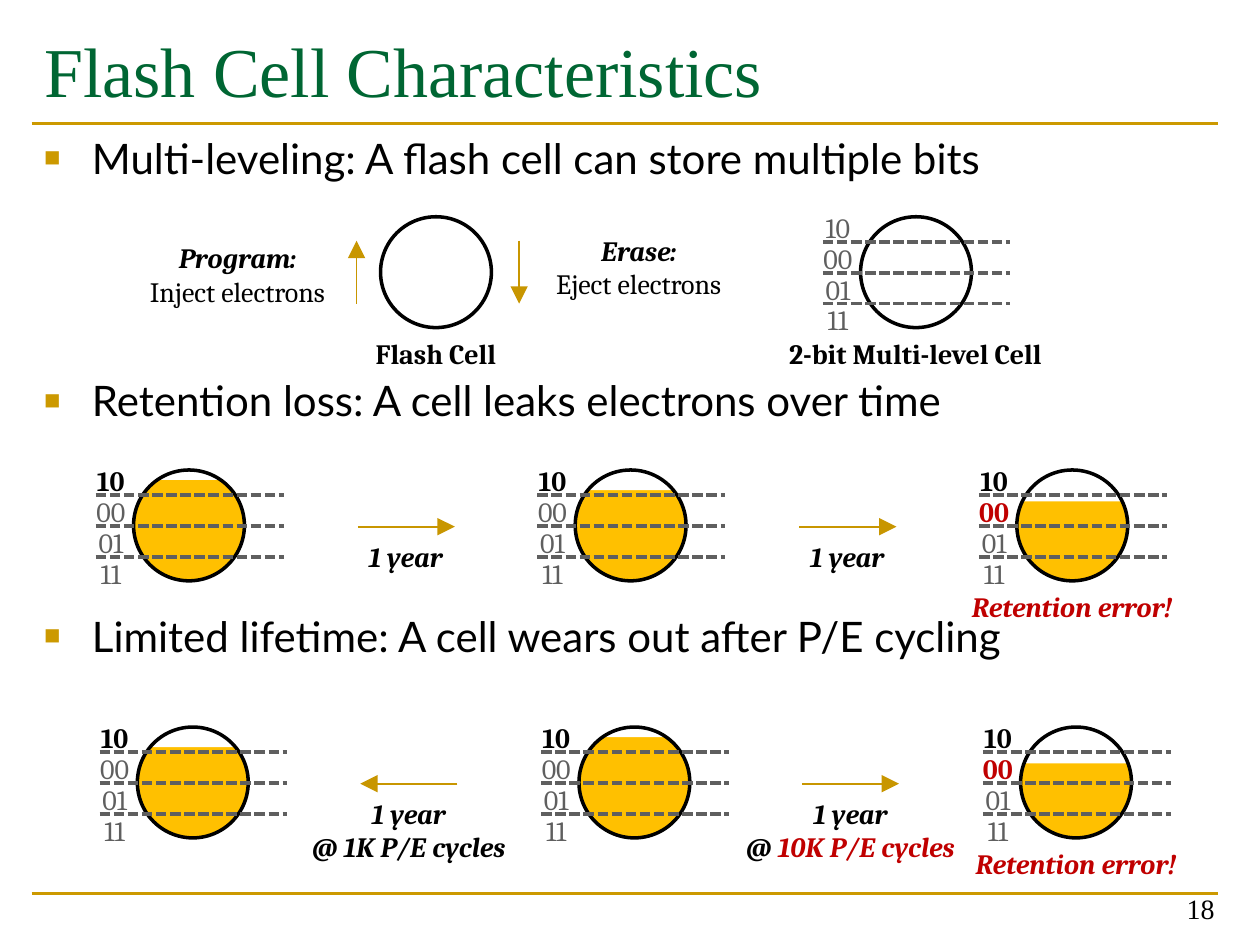
from dataclasses import dataclass

from lxml import etree
from pptx import Presentation
from pptx import util as u
from pptx.dml.color import RGBColor
from pptx.enum import dml, shapes, text
from pptx.oxml import ns


@dataclass(frozen=True)
class Theme:
    black: str = "000000"
    white: str = "FFFFFF"
    green: str = "006633"
    gold: str = "CC9900"
    arrow: str = "C89600"
    charge: str = "FFC000"
    grey: str = "5F5F5F"
    red: str = "C00000"
    title_font: str = "Times New Roman"
    body_font: str = "Lato"
    label_font: str = "Cambria"
    title_size: int = 40
    body_size: int = 24
    label_size: int = 16


THEME = Theme()


def add_text(paragraph, content, font=THEME.label_font, size=THEME.label_size,
             color=THEME.black, bold=False, italic=False):
    run = paragraph.add_run()
    run.text = content
    run.font.name = font
    run.font.size = u.Pt(size)
    run.font.bold = bold
    run.font.italic = italic
    run.font.color.rgb = RGBColor.from_string(color)


def add_child(parent, tag, **attributes):
    return etree.SubElement(parent, ns.qn(tag), attributes)


class FlashSlide:
    diameter = 0.88
    level_step = 0.245
    label_height = 0.27

    def __init__(self, presentation, theme):
        self.theme = theme
        self.slide = presentation.slides.add_slide(presentation.slide_layouts[1])

    def place(self, shape, left, top, width, height):
        shape.left, shape.top = u.Inches(left), u.Inches(top)
        shape.width, shape.height = u.Inches(width), u.Inches(height)

    def title(self, content):
        shape = self.slide.shapes.title
        self.place(shape, 0.25, 0.17, 9.42, 1.17)
        frame = shape.text_frame
        frame.auto_size = text.MSO_AUTO_SIZE.NONE
        frame.vertical_anchor = text.MSO_ANCHOR.TOP
        paragraph = frame.paragraphs[0]
        paragraph.alignment = text.PP_ALIGN.LEFT
        add_text(paragraph, content, font=self.theme.title_font,
                 size=self.theme.title_size, color=self.theme.green)

    def bullets(self, items):
        shape = self.slide.placeholders[1]
        self.place(shape, 0.25, 1, 9.42, 6.08)
        frame = shape.text_frame
        frame.auto_size = text.MSO_AUTO_SIZE.NONE
        for index, (content, space_before) in enumerate(items):
            paragraph = frame.add_paragraph() if index else frame.paragraphs[0]
            paragraph.space_before = u.Pt(space_before)
            add_text(paragraph, content, font=self.theme.body_font, size=self.theme.body_size)
            properties = paragraph._p.get_or_add_pPr()
            properties.set("marL", str(u.Inches(0.38)))
            properties.set("indent", str(u.Inches(-0.38)))
            color = add_child(properties, "a:buClr")
            add_child(color, "a:srgbClr", val=self.theme.gold)
            add_child(properties, "a:buSzPct", val="65000")
            add_child(properties, "a:buChar", char="■")

    def label(self, left, top, width, *lines, height=None,
              align=text.PP_ALIGN.CENTER):
        height = height or self.label_height * len(lines)
        shape = self.slide.shapes.add_textbox(0, 0, 0, 0)
        self.place(shape, left, top, width, height)
        frame = shape.text_frame
        frame.word_wrap = True
        frame.margin_left = frame.margin_right = 0
        frame.margin_top = frame.margin_bottom = 0
        for index, runs in enumerate(lines):
            paragraph = frame.add_paragraph() if index else frame.paragraphs[0]
            paragraph.alignment = align
            for content, style in runs:
                add_text(paragraph, content, **style)

    def line(self, start, end, color, width, dashed=False, arrow=False):
        points = [u.Inches(value) for value in (*start, *end)]
        connector = self.slide.shapes.add_connector(
            shapes.MSO_CONNECTOR.STRAIGHT, *points)
        connector.line.color.rgb = RGBColor.from_string(color)
        connector.line.width = u.Pt(width)
        if dashed:
            connector.line.dash_style = dml.MSO_LINE.SQUARE_DOT
        if arrow:
            add_child(connector.line._get_or_add_ln(), "a:tailEnd",
                      type="triangle", w="lg", len="lg")
        add_child(connector._element.spPr, "a:effectLst")

    def arrow(self, start, end):
        self.line(start, end, self.theme.arrow, 1, arrow=True)

    def shape(self, kind, left, top, width, height, fill=None, outline=None):
        shape = self.slide.shapes.add_shape(kind, 0, 0, 0, 0)
        self.place(shape, left, top, width, height)
        shape.shadow.inherit = False
        if fill:
            shape.fill.solid()
            shape.fill.fore_color.rgb = RGBColor.from_string(fill)
        else:
            shape.fill.background()
        if outline:
            shape.line.color.rgb = RGBColor.from_string(outline)
            shape.line.width = u.Pt(2)
        else:
            shape.line.fill.background()

    def circle(self, left, top, **style):
        self.shape(shapes.MSO_SHAPE.OVAL, left, top, self.diameter, self.diameter, **style)

    def cell(self, left, top, empty_depth=None, error=False):
        charged = empty_depth is not None
        if charged:
            self.circle(left, top, fill=self.theme.charge)
            self.shape(shapes.MSO_SHAPE.RECTANGLE, left - 0.04, top - 0.15,
                       0.96, 0.15 + empty_depth, fill=self.theme.white)
        self.circle(left, top, outline=self.theme.black)
        for index in range(3):
            height = top + 0.2 + index * self.level_step
            self.line((left - 0.3, height), (left + 1.19, height),
                      self.theme.grey, 2, dashed=True)
        styles = {}
        if charged:
            styles["10"] = dict(color=self.theme.black, bold=True)
        if error:
            styles["00"] = dict(color=self.theme.red, bold=True)
        for index, bits in enumerate(("10", "00", "01", "11")):
            style = styles.get(bits, dict(color=self.theme.grey))
            self.label(left - 0.38, top - 0.05 + index * self.level_step, 0.4, [(bits, style)])
        if error:
            self.label(left - 0.79, top + 0.95, 2.46,
                       [("Retention error!", dict(color=self.theme.red, bold=True, italic=True))])


def main():
    presentation = Presentation()
    presentation.slide_width, presentation.slide_height = u.Inches(10), u.Inches(7.5)
    page = FlashSlide(presentation, THEME)
    bold = dict(bold=True)
    strong = dict(bold=True, italic=True)
    alert = dict(strong, color=THEME.red)

    for height in (0.98, 7.09):
        page.line((0.25, height), (9.67, height), THEME.gold, 1.5)
    page.title("Flash Cell Characteristics")
    page.bullets([
        ("Multi-leveling: A flash cell can store multiple bits", 4.8),
        ("Retention loss: A cell leaks electrons over time", 109.8),
        ("Limited lifetime: A cell wears out after P/E cycling", 105.6),
    ])
    page.label(7.41, 7.08, 2.23, [("18", dict(font=THEME.title_font))],
               align=text.PP_ALIGN.RIGHT)

    page.circle(3.02, 1.72, outline=THEME.black)
    page.label(2.83, 2.67, 1.26, [("Flash Cell", bold)])
    page.arrow((2.83, 2.41), (2.83, 1.91))
    page.label(1.15, 1.91, 1.47, [("Program:", strong)], [("Inject electrons", {})])
    page.arrow((4.12, 1.91), (4.12, 2.41))
    page.label(4.37, 1.85, 1.4, [("Erase:", strong)], [("Eject electrons", {})])
    page.cell(6.83, 1.72)
    page.label(5.47, 2.67, 3.59, [("2-bit Multi-level Cell", bold)])

    column_step = 3.505
    rows = [(1.06, 3.73, (0.08, 0.16, 0.25)), (1.09, 5.77, (0.16, 0.08, 0.29))]
    for left, top, depths in rows:
        for column, depth in enumerate(depths):
            page.cell(left + column * column_step, top, depth, error=column == 2)

    year = [("1 year", strong)]
    cycles = [
        [("@ 1K P/E cycles", strong)],
        [("@ ", strong), ("10K P/E cycles", alert)],
    ]
    for gap, cycle_line in enumerate(cycles):
        shift = gap * column_step
        page.arrow((2.84 + shift, 4.18), (3.61 + shift, 4.18))
        page.label(2.59 + shift, 4.28, 1.26, year)
        ends = [(2.86 + shift, 6.22), (3.63 + shift, 6.22)]
        page.arrow(*(ends if gap else reversed(ends)))
        page.label(2.13 + shift, 6.32, 2.23, year, cycle_line)

    presentation.save("out.pptx")


if __name__ == "__main__":
    main()
